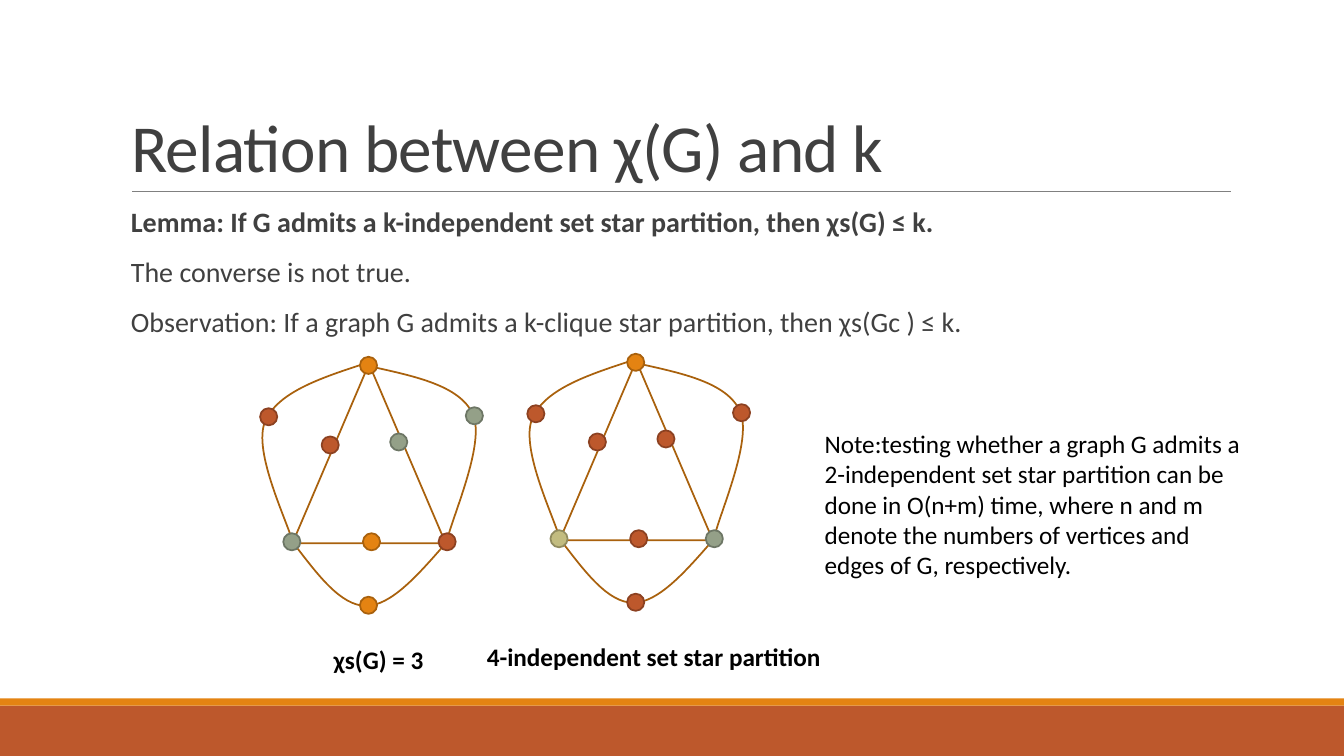
from lxml.etree import SubElement
from pptx import Presentation
from pptx.dml.color import RGBColor
from pptx.enum.shapes import MSO_CONNECTOR, MSO_SHAPE
from pptx.enum.text import MSO_ANCHOR, MSO_AUTO_SIZE, PP_ALIGN
from pptx.oxml.ns import qn
from pptx.util import Inches, Pt

W, H = 13.33, 7.5
ORANGE, RUST, SAGE, OLIVE = "E48312", "BD582C", "94A088", "C2BC80"
OUTLINES = {ORANGE: "A9610D", RUST: "8C4121", SAGE: "6D7665", OLIVE: "908B5F"}
EDGE = OUTLINES[ORANGE]
DARK, BLACK = "404040", "000000"

TITLE = "Relation between χ(G) and k"
BODY = [
    ("Lemma: If G admits a k-independent set star partition, then χs(G) ≤ k.", True),
    ("The converse is not true.", False),
    ("Observation: If a graph G admits a k-clique star partition, then χs(Gc ) ≤ k.", False),
]
NOTE = ("Note:testing whether a graph G admits a 2-independent set star partition "
        "can be done in O(n+m) time, where n and m denote the numbers of vertices "
        "and edges of G, respectively.")
LABELS = [
    (NOTE, False, (8.08, 4.2, 4.43, 1.62)),
    ("χs(G) = 3", True, (3.21, 6.34, 1.21, 0.4)),
    ("4-independent set star partition", True, (4.73, 6.31, 3.85, 0.4)),
]

DOT = 0.17
TRIANGLE = (0.32, 0.07, 1.52, 1.78)
ARCS = [
    [(1.09, 0.05), (0.63, 0.2), (0.18, 0.34), (0.05, 0.64),
     (-0.08, 0.94), (0.28, 1.65), (0.33, 1.86)],
    [(1.07, 0.09), (1.52, 0.19), (1.98, 0.28), (2.11, 0.57),
     (2.24, 0.86), (1.89, 1.62), (1.85, 1.84)],
    [(0.34, 1.86), (0.57, 2.16), (0.8, 2.47), (1.05, 2.47),
     (1.3, 2.47), (1.57, 2.16), (1.84, 1.85)],
]
VERTICES = [(0.99, 0), (0.61, 0.79), (0.23, 1.75), (1.29, 0.76), (1.77, 1.75),
            (2.04, 0.5), (0, 0.51), (0.99, 2.38), (1.02, 1.75)]
GRAPHS = [
    ((2.58, 3.54), [ORANGE, RUST, SAGE, SAGE, RUST, SAGE, RUST, ORANGE, ORANGE]),
    ((5.23, 3.51), [ORANGE, RUST, OLIVE, RUST, SAGE, RUST, RUST, RUST, RUST]),
]


def rgb(color):
    return RGBColor.from_string(color)


def inches(*values):
    return [Inches(v) for v in values]


def style(sp, fill=None, line=None):
    sp.shadow.inherit = False
    if fill:
        sp.fill.solid()
        sp.fill.fore_color.rgb = rgb(fill)
    else:
        sp.fill.background()
    if line:
        sp.line.color.rgb = rgb(line)
        sp.line.width = Pt(1.25)
    else:
        sp.line.fill.background()


def add_shape(s, kind, box, fill=None, line=None):
    style(s.shapes.add_shape(kind, *inches(*box)), fill, line)


def add_run(p, text, size, color, bold=False):
    r = p.add_run()
    r.text = text
    r.font.name = "Calibri"
    r.font.size = Pt(size)
    r.font.bold = bold
    r.font.color.rgb = rgb(color)
    return r


def add_text(s, box):
    tf = s.shapes.add_textbox(*inches(*box)).text_frame
    tf.word_wrap = True
    return tf


def bezier(points, t):
    weights = ((1 - t) ** 3, 3 * t * (1 - t) ** 2, 3 * t * t * (1 - t), t ** 3)
    return tuple(sum(w * pt[i] for w, pt in zip(weights, points)) for i in (0, 1))


def add_arc(s, points):
    pieces = [points[i:i + 4] for i in (0, 3)]
    outline = [bezier(piece, n / 20) for piece in pieces for n in range(21)]
    start, *rest = [inches(*pt) for pt in outline]
    builder = s.shapes.build_freeform(*start)
    builder.add_line_segments(rest, close=False)
    sp = builder.convert_to_shape()
    curve = next(sp.element.iter(qn("a:path")))
    for segment in curve.findall(qn("a:lnTo")):
        curve.remove(segment)
    for piece in pieces:
        segment = SubElement(curve, qn("a:cubicBezTo"))
        for x, y in piece[1:]:
            SubElement(segment, qn("a:pt"), x=str(Inches(x) - sp.left), y=str(Inches(y) - sp.top))
    style(sp, line=EDGE)


def add_graph(s, left, top, colors):
    def place(x, y):
        return left + x, top + y

    add_shape(s, MSO_SHAPE.ISOSCELES_TRIANGLE, (*place(*TRIANGLE[:2]), *TRIANGLE[2:]), line=EDGE)
    for arc in ARCS:
        add_arc(s, [place(*pt) for pt in arc])
    for vertex, color in zip(VERTICES, colors):
        add_shape(s, MSO_SHAPE.OVAL, (*place(*vertex), DOT, DOT), color, OUTLINES[color])


def add_title(s):
    sp = s.shapes.title
    sp.left, sp.top, sp.width, sp.height = inches(1.2, 0.31, 11, 1.59)
    tf = sp.text_frame
    tf.auto_size = MSO_AUTO_SIZE.NONE
    tf.vertical_anchor = MSO_ANCHOR.BOTTOM
    p = tf.paragraphs[0]
    p.alignment = PP_ALIGN.LEFT
    p.line_spacing = 0.85
    r = add_run(p, TITLE, 48, DARK)
    r.font._element.set("spc", "-50")


def add_body(s):
    tf = add_text(s, (1.2, 2.02, 11, 4.4))
    tf.margin_right = 0
    for i, (text, bold) in enumerate(BODY):
        p = tf.add_paragraph() if i else tf.paragraphs[0]
        p.line_spacing = 0.9
        p.space_before, p.space_after = Pt(12), Pt(2)
        add_run(p, text, 20, DARK, bold)


def main():
    prs = Presentation()
    prs.slide_width, prs.slide_height = inches(W, H)
    s = prs.slides.add_slide(prs.slide_layouts[5])
    add_shape(s, MSO_SHAPE.RECTANGLE, (0, 7, W, 0.5), RUST)
    add_shape(s, MSO_SHAPE.RECTANGLE, (0, 6.93, W, 0.07), ORANGE)
    rule = s.shapes.add_connector(MSO_CONNECTOR.STRAIGHT, *inches(1.31, 1.9, 12.21, 1.9))
    rule.line.color.rgb = rgb("808080")
    rule.line.width = Pt(0.5)
    SubElement(rule.element.spPr, qn("a:effectLst"))
    add_title(s)
    add_body(s)
    for origin, colors in GRAPHS:
        add_graph(s, *origin, colors)
    for text, bold, box in LABELS:
        add_run(add_text(s, box).paragraphs[0], text, 18, BLACK, bold)
    prs.save("out.pptx")


if __name__ == "__main__":
    main()
